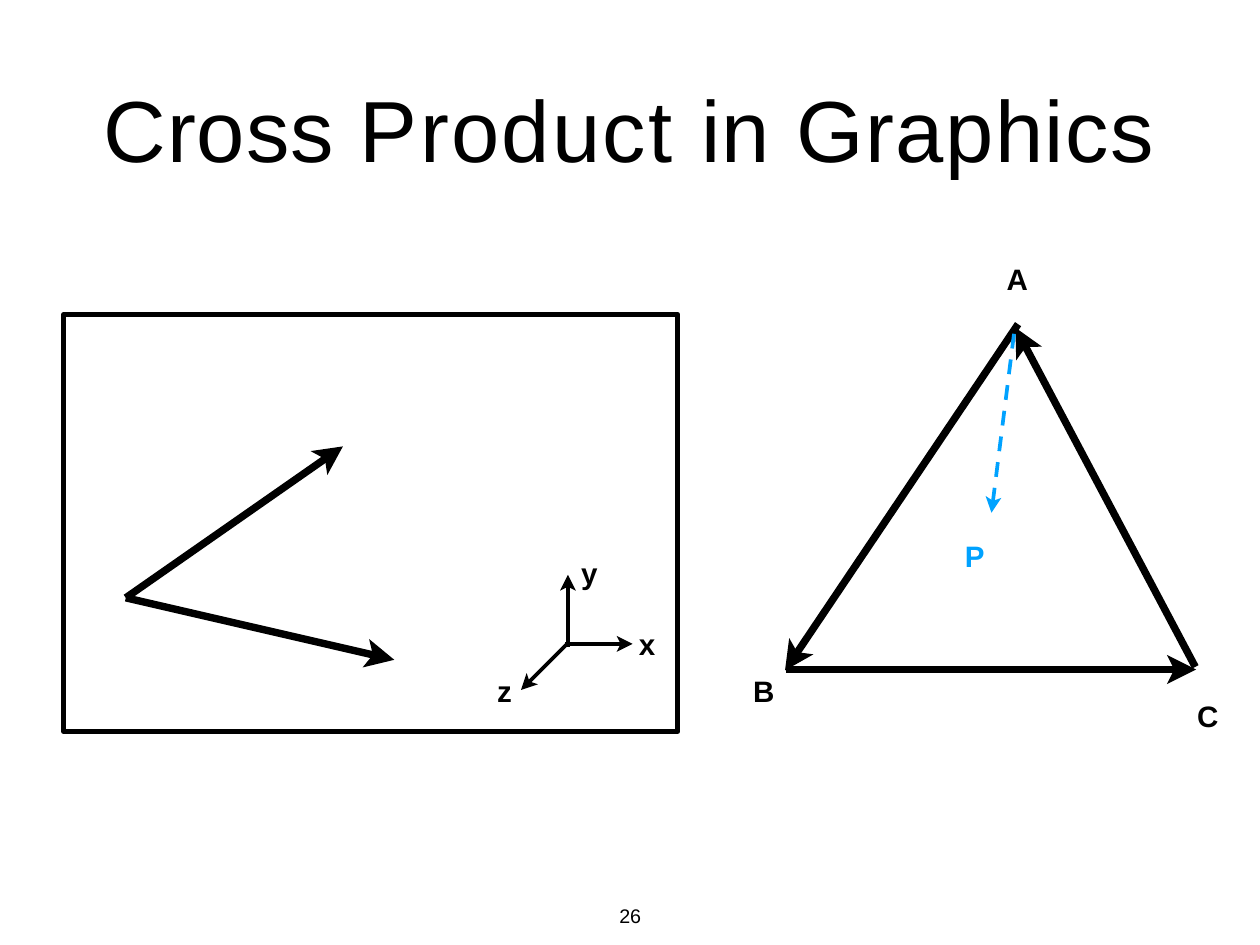
from math import dist

from lxml.etree import SubElement
from pptx import Presentation
from pptx.dml.color import RGBColor
from pptx.enum.dml import MSO_LINE_DASH_STYLE as DASH
from pptx.enum.shapes import MSO_CONNECTOR as CONNECTOR, MSO_SHAPE as SHAPE
from pptx.enum.text import MSO_ANCHOR as ANCHOR, MSO_AUTO_SIZE as AUTO_SIZE, PP_ALIGN as ALIGN
from pptx.oxml.ns import qn
from pptx.util import Inches, Pt

COLORS = {"black": "000000", "blue": "00A2FF"}
FONT = "Arial"
TITLE_WORDS = [("Cross ", 0.8), ("Product ", 1.9), ("in ", 1), ("Graphics", 1.2)]
VECTOR_START = (1.42, 6.75)
VECTOR_TIPS = [(4.45, 7.45), (3.87, 5.04)]
AXES = [
    ((6.38, 7.27), (7.14, 7.27)),
    ((6.41, 7.31), (6.41, 6.49)),
    ((6.39, 7.28), (5.88, 7.79)),
]
TRIANGLE_EDGES = [
    ((8.87, 7.56), (13.5, 7.56)),
    ((11.49, 3.66), (8.86, 7.57)),
    ((13.49, 7.53), (11.46, 3.7)),
]
LABELS = [
    ("x", 7.21, 7.05, "black", -0.5),
    ("y", 6.56, 6.25, "black", -0.9),
    ("z", 5.61, 7.58, "black", 0.5),
    ("A", 11.36, 2.93, "black", -0.9),
    ("B", 8.5, 7.58, "black", -0.5),
    ("C", 13.51, 7.86, "black", 0.5),
    ("P", 10.89, 6.06, "blue", 0),
]


def rgb(color):
    """Return the named colour."""
    return RGBColor.from_string(COLORS[color])


def add_span(para, text, *, size=24, bold=True, color="black", spacing=0):
    """Add formatted text with letter spacing in points to a paragraph."""
    span = para.add_run()
    span.text = text
    span.font.name = FONT
    span.font.size = Pt(size)
    span.font.bold = bold
    span.font.color.rgb = rgb(color)
    span.font._element.set("spc", str(round(spacing * 100)))


def prepare_frame(box, anchor=ANCHOR.TOP, top=0.02):
    """Set margins and anchor of a box and return its first paragraph."""
    frame = box.text_frame
    frame.word_wrap = True
    frame.auto_size = AUTO_SIZE.NONE
    frame.vertical_anchor = anchor
    frame.margin_left = frame.margin_right = frame.margin_bottom = 0
    frame.margin_top = Inches(top)
    para = frame.paragraphs[0]
    para.alignment = ALIGN.LEFT
    return para


def add_title(page):
    """Place the title and space each word."""
    title = page.shapes.title
    title.left, title.top = Inches(1.17), Inches(0.83)
    title.width, title.height = Inches(12.2), Inches(1.2)
    para = prepare_frame(title, ANCHOR.BOTTOM, 0)
    for word, spacing in TITLE_WORDS:
        add_span(para, word, size=70.5, bold=False, spacing=spacing)


def add_label(page, text, left, top, width=0.3, height=0.43, **text_format):
    """Add a short text box."""
    box = page.shapes.add_textbox(Inches(left), Inches(top), Inches(width), Inches(height))
    add_span(prepare_frame(box), text, **text_format)


def style_line(shape, color, weight):
    """Give a shape a line with round joins."""
    shape.line.color.rgb = rgb(color)
    shape.line.width = Pt(weight)
    SubElement(shape.line._get_or_add_ln(), qn("a:round"))


def add_arrow(page, start, tip, weight=6, head=0.33, color="black", dashed=False):
    """Draw a shaft and a notched head of the given length from start to tip."""
    length = dist(start, tip)
    along_x, along_y = ((end - begin) / length for begin, end in zip(start, tip))

    def behind_tip(back, side=0):
        """Return the point at a distance behind the tip and beside the shaft."""
        return (
            Inches(tip[0] - back * along_x - side * along_y),
            Inches(tip[1] - back * along_y + side * along_x),
        )

    shaft = page.shapes.add_connector(
        CONNECTOR.STRAIGHT, *behind_tip(head * 0.65), *behind_tip(length)
    )
    if dashed:
        shaft.line.dash_style = DASH.DASH
    style_line(shaft, color, weight)
    SubElement(shaft._element.spPr, qn("a:effectLst"))

    builder = page.shapes.build_freeform(*behind_tip(0))
    builder.add_line_segments(
        [behind_tip(head, head / 2), behind_tip(head * 0.75), behind_tip(head, -head / 2)]
    )
    point = builder.convert_to_shape()
    point.shadow.inherit = False
    point.fill.solid()
    point.fill.fore_color.rgb = rgb(color)
    point.line.fill.background()


def add_frame(page):
    """Draw the border around the vectors and axes."""
    frame = page.shapes.add_shape(
        SHAPE.RECTANGLE, Inches(0.72), Inches(3.55), Inches(6.93), Inches(4.71)
    )
    frame.shadow.inherit = False
    frame.fill.background()
    style_line(frame, "black", 4)


def main():
    """Build the slide and save it."""
    deck = Presentation()
    deck.slide_width, deck.slide_height = Inches(14.22), Inches(10.67)
    page = deck.slides.add_slide(deck.slide_layouts[5])
    add_title(page)
    for tip in VECTOR_TIPS:
        add_arrow(page, VECTOR_START, tip)
    add_frame(page)
    for start, tip in AXES:
        add_arrow(page, start, tip, weight=3, head=0.18)
    for start, tip in TRIANGLE_EDGES:
        add_arrow(page, start, tip)
    add_arrow(page, (11.45, 3.72), (11.19, 5.79), weight=3, head=0.18, color="blue", dashed=True)
    for text, left, top, color, spacing in LABELS:
        add_label(page, text, left, top, color=color, spacing=spacing)
    add_label(page, "26", 6.99, 10.18, height=0.29, size=16, bold=False, spacing=-0.1)
    deck.save("out.pptx")


if __name__ == "__main__":
    main()
